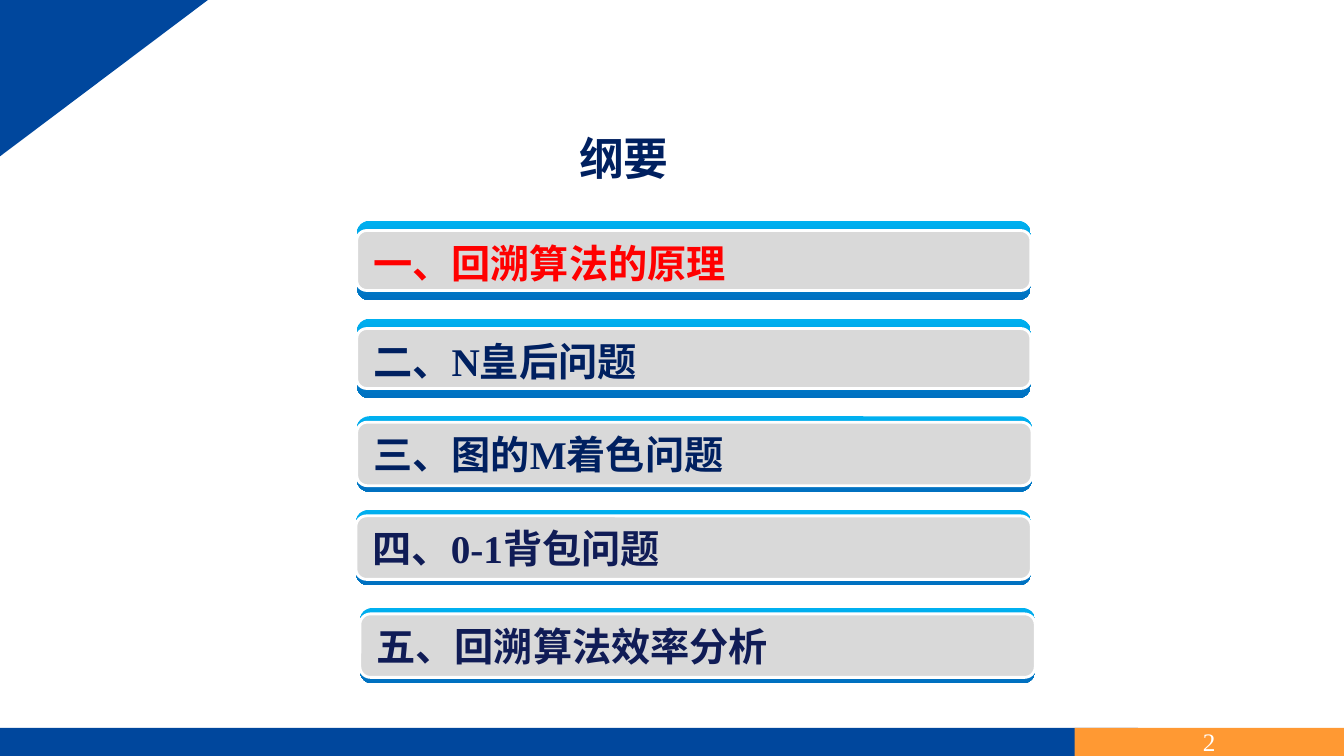
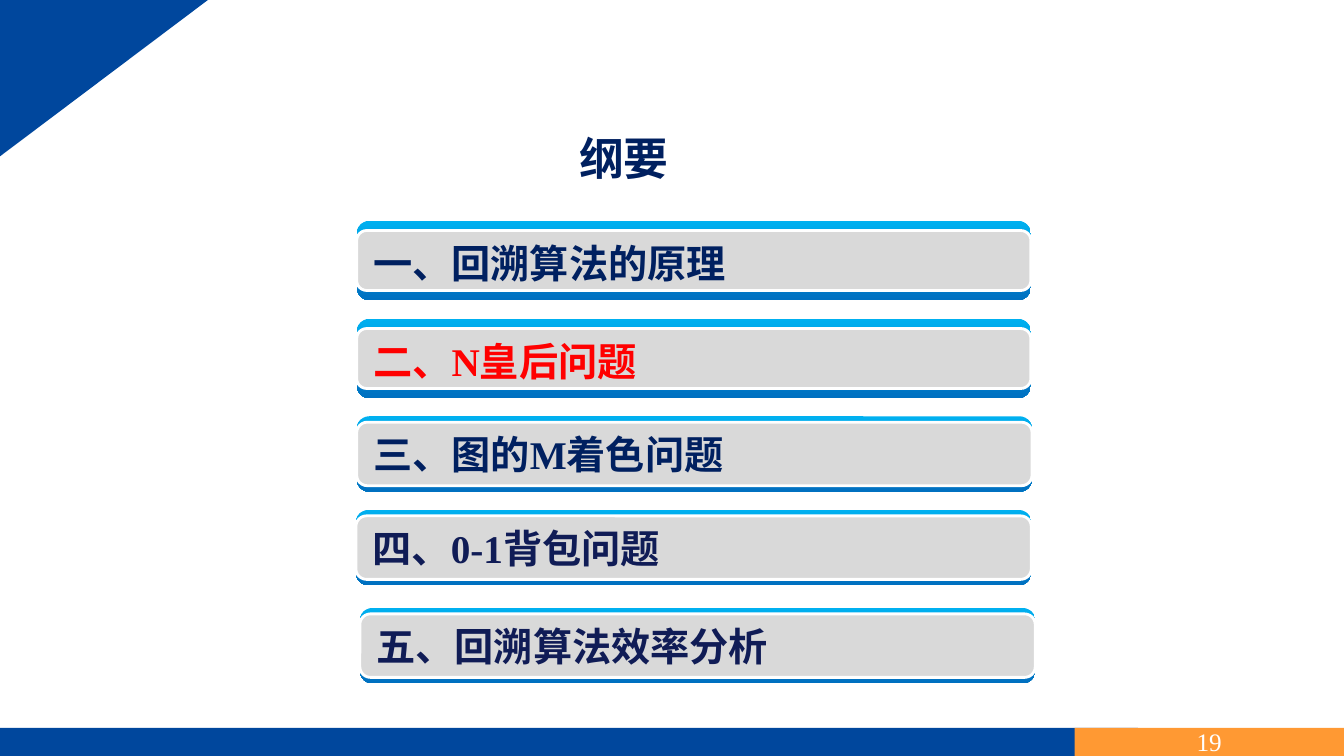
from dataclasses import dataclass

from pptx import Presentation
from pptx.dml.color import RGBColor
from pptx.enum import shapes, text
from pptx.util import Cm, Pt

FONT = "Times New Roman"
BLUE, ORANGE, WHITE = "00479D", "FF9933", "FFFFFF"
NAVY, INK, RED, GREY = "002060", "101C56", "FF0000", "D9D9D9"
SKY, OCEAN = "00B0F0", "0070C0"
SHAPE = shapes.MSO_SHAPE


@dataclass(frozen=True)
class Chapter:
    title: str
    left: float
    top: float
    width: float
    height: float
    rim: float  # visible edge above and below the grey face
    color: str = NAVY


CHAPTERS = [
    Chapter("一、回溯算法的原理", 8.99, 5.56, 16.99, 2.01, 0.25),
    Chapter("二、N皇后问题", 8.99, 8.03, 16.99, 2.01, 0.25),
    Chapter("三、图的M着色问题", 8.99, 10.49, 17.02, 1.9, 0.15),
    Chapter("四、0-1背包问题", 8.97, 12.85, 17.02, 1.9, 0.15, INK),
    Chapter("五、回溯算法效率分析", 9.07, 15.32, 17.02, 1.9, 0.15, INK),
]
OUTLINES = [(2, 0), (19, 1)]  # page number, index of the current chapter


def rgb(code: str) -> RGBColor:
    return RGBColor.from_string(code)


def add_block(parent, kind, left: float, top: float, width: float, height: float,
              fill: str | tuple[str, str], line: str | None = None):
    """Draw a preset shape; a pair of fill colours gives a downward gradient."""
    block = parent.add_shape(kind, Cm(left), Cm(top), Cm(width), Cm(height))
    block.shadow.inherit = False
    if isinstance(fill, tuple):
        block.fill.gradient()
        block.fill.gradient_angle = 270
        for stop, code in zip(block.fill.gradient_stops, fill):
            stop.color.rgb = rgb(code)
    else:
        block.fill.solid()
        block.fill.fore_color.rgb = rgb(fill)
    if line:
        block.line.color.rgb = rgb(line)
        block.line.width = Pt(2)
    else:
        block.line.fill.background()
    return block


def write(frame, words: str, *, size: int, color: str, bold: bool = False,
          align=text.PP_ALIGN.LEFT) -> None:
    para = frame.paragraphs[0]
    para.alignment = align
    span = para.add_run()
    span.text = words
    span.font.name = FONT
    span.font.size = Pt(size)
    span.font.bold = bold
    span.font.color.rgb = rgb(color)


def add_label(parent, words: str, left: float, top: float, width: float,
              height: float, **style) -> None:
    box = parent.add_textbox(Cm(left), Cm(top), Cm(width), Cm(height))
    box.text_frame.word_wrap = True
    box.text_frame.auto_size = text.MSO_AUTO_SIZE.SHAPE_TO_FIT_TEXT
    write(box.text_frame, words, bold=True, **style)


def add_frame(page, number: int) -> None:
    """Draw the footer bands, page number and corner triangle."""
    add_block(page.shapes, SHAPE.RECTANGLE, 0, 18.34, 28.68, 0.71, BLUE)
    footer = add_block(page.shapes, SHAPE.RECTANGLE, 27.08, 18.34, 6.79, 0.71, ORANGE)
    footer.text_frame.vertical_anchor = text.MSO_ANCHOR.MIDDLE
    write(footer.text_frame, str(number), size=18, color=WHITE,
          align=text.PP_ALIGN.CENTER)
    corner = add_block(page.shapes, SHAPE.RIGHT_TRIANGLE, 0.65, -0.65, 3.94, 5.24, BLUE)
    corner.rotation = 90


def add_chapter(page, chapter: Chapter, current: bool) -> None:
    group = page.shapes.add_group_shape().shapes
    add_block(group, SHAPE.ROUNDED_RECTANGLE, chapter.left, chapter.top,
              chapter.width, chapter.height, (SKY, OCEAN))
    add_block(group, SHAPE.ROUNDED_RECTANGLE, chapter.left, chapter.top + chapter.rim,
              chapter.width, chapter.height - 2 * chapter.rim, GREY, WHITE)
    add_label(group, chapter.title, chapter.left + 0.17, chapter.top + chapter.rim + 0.09,
              16.4, 1.45, size=28, color=RED if current else chapter.color)


def add_outline(deck, number: int, current: int) -> None:
    page = deck.slides.add_slide(deck.slide_layouts[6])
    add_frame(page, number)
    add_label(page.shapes, "纲要", 10.16, 3.18, 11.13, 1.63, size=32, color=NAVY,
              align=text.PP_ALIGN.CENTER)
    for index, chapter in enumerate(CHAPTERS):
        add_chapter(page, chapter, index == current)


def main() -> None:
    deck = Presentation()
    deck.slide_width, deck.slide_height = Cm(33.87), Cm(19.05)
    for number, current in OUTLINES:
        add_outline(deck, number, current)
    deck.save("out.pptx")


if __name__ == "__main__":
    main()
